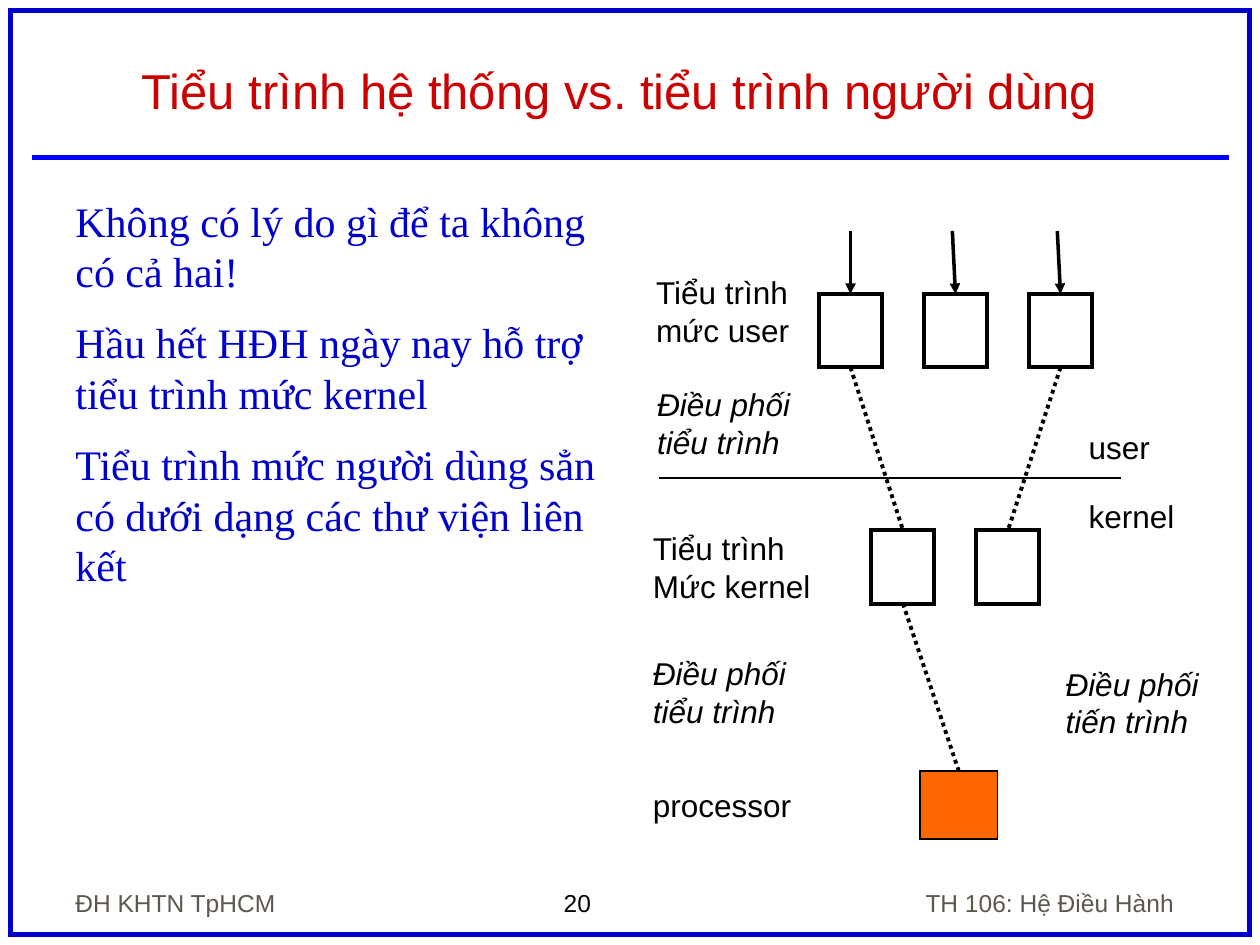
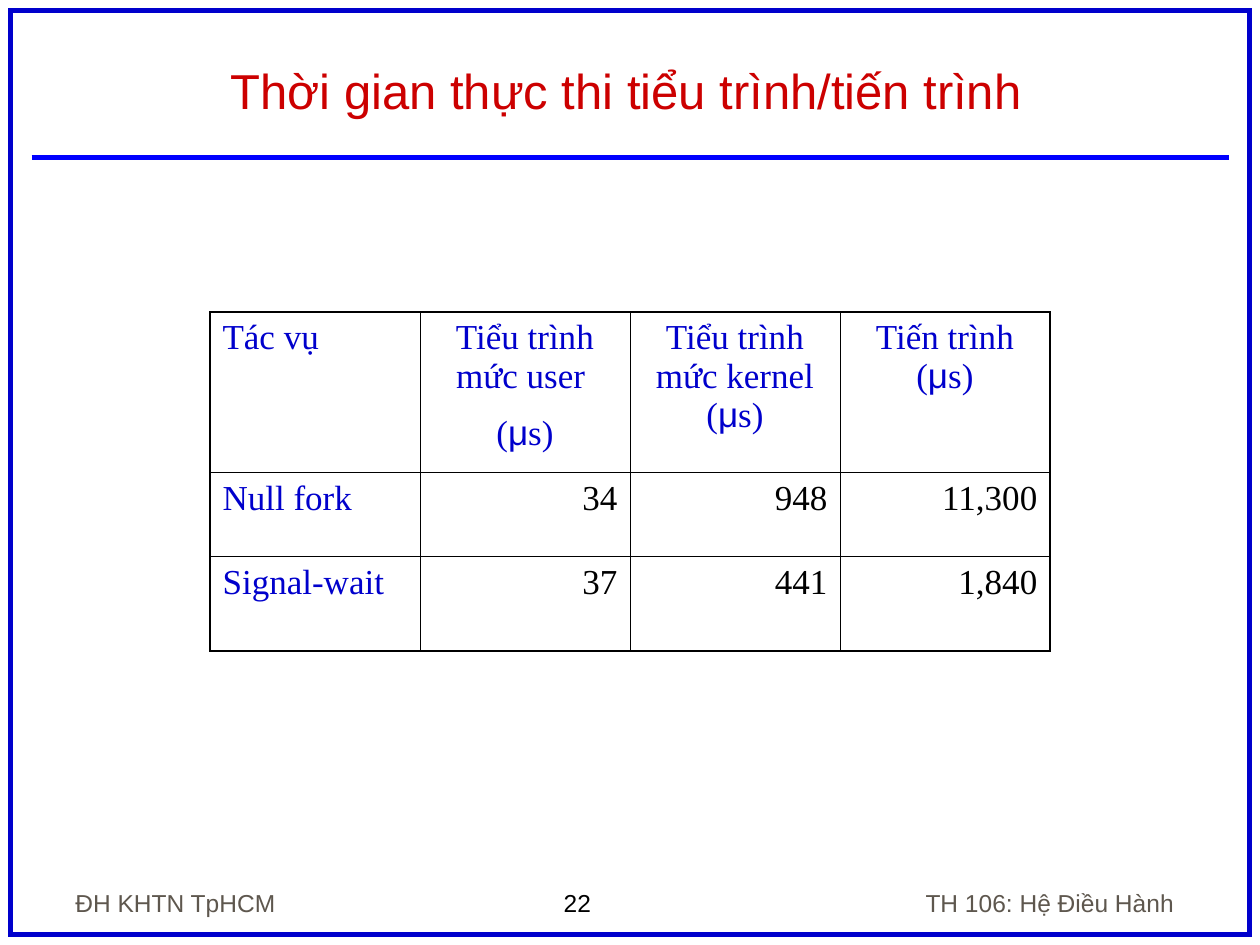
"""Build two slides on kernel threads and user threads."""
from dataclasses import dataclass
from typing import Any, NamedTuple, Optional

from lxml import etree
from pptx import Presentation
from pptx.dml.color import RGBColor
from pptx.enum.dml import MSO_LINE
from pptx.enum.shapes import MSO_CONNECTOR, MSO_SHAPE
from pptx.enum.text import MSO_ANCHOR, MSO_AUTO_SIZE, PP_ALIGN
from pptx.oxml.ns import qn
from pptx.util import Emu, Inches, Pt

LEFT, CENTER, RIGHT = PP_ALIGN.LEFT, PP_ALIGN.CENTER, PP_ALIGN.RIGHT
TOP, BOTTOM = MSO_ANCHOR.TOP, MSO_ANCHOR.BOTTOM
FIXED, GROWING = MSO_AUTO_SIZE.NONE, MSO_AUTO_SIZE.SHAPE_TO_FIT_TEXT
RECTANGLE, STRAIGHT = MSO_SHAPE.RECTANGLE, MSO_CONNECTOR.STRAIGHT
DOTTED = MSO_LINE.ROUND_DOT
TOP_SIDE, BOTTOM_SIDE = 0, 2

SLIDE_WIDTH, SLIDE_HEIGHT = Inches(10), Inches(7.5)
COLUMNS, ROWS = 120, 90
MICRO = "μ"


@dataclass(frozen=True)
class Theme:
    """Colours, fonts, type sizes and line widths of the deck."""
    black: str = "000000"
    blue: str = "0000CC"
    rule_blue: str = "0000FF"
    red: str = "CC0000"
    gray: str = "5E574E"
    orange: str = "FF6600"
    sans: str = "Arial"
    serif: str = "Times New Roman"
    title_size: float = 28
    body_size: float = 24
    table_size: float = 20
    label_size: float = 18
    footer_size: float = 14
    frame_line: float = 3
    box_line: float = 2.25
    arrow_line: float = 2
    thin_line: float = 1
    outer_border: float = 1.08
    inner_border: float = 0.45


THEME = Theme()


class Area(NamedTuple):
    """A rectangle in grid columns and rows."""
    column: float
    row: float
    width: float
    height: float


class TextStyle(NamedTuple):
    """The look of one block of text."""
    size: float
    color: str
    font: str = THEME.sans
    italic: bool = False
    align: Any = LEFT
    anchor: Any = TOP
    gap: float = 0
    wrap: bool = True


class Label(NamedTuple):
    """Text of the diagram, with its place."""
    area: Area
    lines: tuple[str, ...]
    italic: bool = False


class Pen(NamedTuple):
    """The look of a line."""
    color: str
    width: float
    dash: Any = None


TITLE = TextStyle(THEME.title_size, THEME.red, align=CENTER, anchor=BOTTOM)
BODY = TextStyle(THEME.body_size, THEME.blue, THEME.serif, gap=12)
FOOTER = TextStyle(THEME.footer_size, THEME.gray, anchor=BOTTOM)
PAGE_NUMBER = TextStyle(THEME.footer_size, THEME.black)
LABEL = TextStyle(THEME.label_size, THEME.black, wrap=False)
CELL = TextStyle(THEME.table_size, THEME.blue, THEME.serif, gap=10)

FRAME_PEN = Pen(THEME.blue, THEME.frame_line)
RULE_PEN = Pen(THEME.rule_blue, THEME.frame_line)
BOX_PEN = Pen(THEME.black, THEME.box_line)
THIN_PEN = Pen(THEME.black, THEME.thin_line)
ARROW_PEN = Pen(THEME.black, THEME.arrow_line)
DOTTED_PEN = Pen(THEME.black, THEME.box_line, DOTTED)

REASONS = (
    "Không có lý do gì để ta không có cả hai!",
    "Hầu hết HĐH ngày nay hỗ trợ tiểu trình mức kernel",
    "Tiểu trình mức người dùng sẳn có dưới dạng các thư viện liên kết",
)
LABELS = (
    Label(Area(61.3, 25.4, 15.2, 8.4), ("Tiểu trình", "mức user")),
    Label(Area(61.4, 36.1, 15.2, 8.4), ("Điều phối", "tiểu trình"), True),
    Label(Area(61, 49.8, 17.5, 8.4), ("Tiểu trình", "Mức kernel")),
    Label(Area(61, 61.7, 15.2, 8.4), ("Điều phối", "tiểu trình"), True),
    Label(Area(61, 74.3, 15.7, 4.8), ("processor",)),
    Label(Area(102.5, 40.2, 8.3, 4.8), ("user",)),
    Label(Area(102.5, 46.7, 10.7, 4.8), ("kernel",)),
    Label(Area(100.3, 62.7, 15.2, 8.4), ("Điều phối", "tiến trình"), True),
)
HEADINGS = (
    ("Tác vụ",),
    ("Tiểu trình mức user ", "(μs)"),
    ("Tiểu trình mức kernel (μs)",),
    ("Tiến trình (μs)",),
)
TIMES = (("Null fork", "34", "948", "11,300"),
         ("Signal-wait", "37", "441", "1,840"))
TABLE_ROWS = (15.3, 8, 9)


def across(columns: float) -> Emu:
    """Turn grid columns into a length."""
    return Emu(round(SLIDE_WIDTH * columns / COLUMNS))


def down(rows: float) -> Emu:
    """Turn grid rows into a length."""
    return Emu(round(SLIDE_HEIGHT * rows / ROWS))


def place(area: Area) -> tuple[Emu, Emu, Emu, Emu]:
    """Turn an area into left, top, width and height."""
    return (across(area.column), down(area.row),
            across(area.width), down(area.height))


def assign(target: Any, values: dict[str, Any]) -> None:
    """Set the attributes named in values."""
    for name, value in values.items():
        setattr(target, name, value)


def write(frame: Any, lines: tuple[str, ...], style: TextStyle) -> None:
    """Write one paragraph per line, with the micro sign in the sans font."""
    for index, line in enumerate(lines):
        para = frame.add_paragraph() if index else frame.paragraphs[0]
        assign(para, {"alignment": style.align,
                      "space_before": Pt(style.gap if index else 0)})
        for piece in filter(None, line.partition(MICRO)):
            span = para.add_run()
            span.text = piece
            assign(span.font, {
                "name": THEME.sans if piece == MICRO else style.font,
                "size": Pt(style.size), "italic": style.italic})
            span.font.color.rgb = RGBColor.from_string(style.color)


def add_text(page: Any, area: Area, lines: tuple[str, ...],
             style: TextStyle) -> None:
    """Add a text box, which grows with its text when it does not wrap."""
    frame = page.shapes.add_textbox(*place(area)).text_frame
    assign(frame, {"word_wrap": style.wrap, "vertical_anchor": style.anchor,
                   "auto_size": FIXED if style.wrap else GROWING})
    write(frame, lines, style)


def draw_line(line: Any, pen: Pen) -> None:
    """Give a line the look of a pen."""
    line.color.rgb = RGBColor.from_string(pen.color)
    assign(line, {"width": Pt(pen.width), "dash_style": pen.dash})


def add_box(page: Any, area: Area, pen: Pen,
            fill: Optional[str] = None) -> Any:
    """Add an outlined rectangle with sharp corners."""
    box = page.shapes.add_shape(RECTANGLE, *place(area))
    box.shadow.inherit = False
    if fill:
        box.fill.solid()
        box.fill.fore_color.rgb = RGBColor.from_string(fill)
    else:
        box.fill.background()
    draw_line(box.line, pen)
    etree.SubElement(box.line._get_or_add_ln(), qn("a:miter"), lim="800000")
    return box


def add_line(page: Any, start: tuple[float, float], end: tuple[float, float],
             pen: Pen) -> Any:
    """Add a straight line between two grid points."""
    line = page.shapes.add_connector(
        STRAIGHT, across(start[0]), down(start[1]), across(end[0]), down(end[1]))
    draw_line(line.line, pen)
    etree.SubElement(line.line._get_or_add_ln().getparent(), qn("a:effectLst"))
    return line


def add_arrow(page: Any, column: float, row: float, box: Any) -> None:
    """Point an arrow at the top of a box."""
    arrow = add_line(page, (column, row), (column, row), ARROW_PEN)
    arrow.end_connect(box, TOP_SIDE)
    etree.SubElement(arrow.line._get_or_add_ln(), qn("a:tailEnd"), type="triangle")


def join(page: Any, upper: Any, lower: Any) -> None:
    """Join two boxes with a dotted line."""
    link = add_line(page, (0, 0), (0, 0), DOTTED_PEN)
    link.begin_connect(upper, BOTTOM_SIDE)
    link.end_connect(lower, TOP_SIDE)


def add_page(deck: Any, title: str, number: str) -> Any:
    """Add a page with the shared frame, rule, title and footer."""
    page = deck.slides.add_slide(deck.slide_layouts[6])
    add_text(page, Area(52.5, 84, 13, 4), (number,), PAGE_NUMBER)
    add_box(page, Area(1, 1, 118, 88), FRAME_PEN)
    add_line(page, (3, 15), (117, 15), RULE_PEN)
    add_text(page, Area(6, 82, 25, 6), ("ĐH KHTN TpHCM",), FOOTER)
    add_text(page, Area(80, 82, 33, 6), ("TH 106: Hệ Điều Hành",),
             FOOTER._replace(align=RIGHT))
    add_text(page, Area(5.25, 3, 108.75, 9), (title,), TITLE)
    return page


def add_thread_diagram(page: Any) -> None:
    """Draw user threads over kernel threads over the processor."""
    add_line(page, (62.8, 45.5), (106.8, 45.5), THIN_PEN)
    for label in LABELS:
        add_text(page, label.area, label.lines, LABEL._replace(italic=label.italic))
    users = [add_box(page, Area(78 + 10 * index, 28, 6, 7), BOX_PEN)
             for index in range(3)]
    kernels = [add_box(page, Area(83 + 10 * index, 50.5, 6, 7), BOX_PEN)
               for index in range(2)]
    processor = add_box(page, Area(87.6, 73.4, 7.4, 6.5), THIN_PEN, THEME.orange)
    for column, user in zip((81, 90.7, 100.7), users):
        add_arrow(page, column, 22, user)
    for upper, lower in ((users[0], kernels[0]), (users[2], kernels[1]),
                         (kernels[0], processor)):
        join(page, upper, lower)


def set_borders(cell: Any, outer_sides: dict[str, bool]) -> None:
    """Draw the four borders, heavier on the outside of the table."""
    properties = cell._tc.get_or_add_tcPr()
    for index, (side, is_outer) in enumerate(outer_sides.items()):
        width = THEME.outer_border if is_outer else THEME.inner_border
        border = etree.Element(qn(f"a:{side}"), w=str(Pt(width)))
        fill = etree.SubElement(border, qn("a:solidFill"))
        etree.SubElement(fill, qn("a:srgbClr"), val=THEME.black)
        properties.insert(index, border)


def add_time_table(page: Any) -> None:
    """Add the table of run times."""
    contents = [HEADINGS, *([(text,) for text in row] for row in TIMES)]
    last_row, last_column = len(contents) - 1, len(HEADINGS) - 1
    area = Area(20, 29.7, 80, sum(TABLE_ROWS))
    table = page.shapes.add_table(
        len(contents), len(HEADINGS), *place(area)).table
    assign(table, {"first_row": False, "horz_banding": False})
    for row, height in zip(table.rows, TABLE_ROWS):
        row.height = down(height)
    for row, texts in enumerate(contents):
        for column, lines in enumerate(texts):
            cell = table.cell(row, column)
            cell.fill.background()
            assign(cell, {"margin_left": Inches(0.1), "margin_right": Inches(0.1),
                          "margin_top": Inches(0.05), "margin_bottom": Inches(0.05)})
            style = CELL
            if column:
                style = (CELL._replace(align=RIGHT, color=THEME.black) if row
                         else CELL._replace(align=CENTER))
            write(cell.text_frame, lines, style)
            set_borders(cell, {"lnL": column == 0, "lnR": column == last_column,
                               "lnT": row == 0, "lnB": row == last_row})


def main() -> None:
    """Build and save the deck."""
    deck = Presentation()
    assign(deck, {"slide_width": SLIDE_WIDTH, "slide_height": SLIDE_HEIGHT})
    threads = add_page(deck, "Tiểu trình hệ thống vs. tiểu trình người dùng ", "20")
    add_text(threads, Area(6, 18, 52.7, 61.5), REASONS, BODY)
    add_thread_diagram(threads)
    add_time_table(add_page(deck, "Thời gian thực thi tiểu trình/tiến trình", "22"))
    deck.save("out.pptx")


if __name__ == "__main__":
    main()
